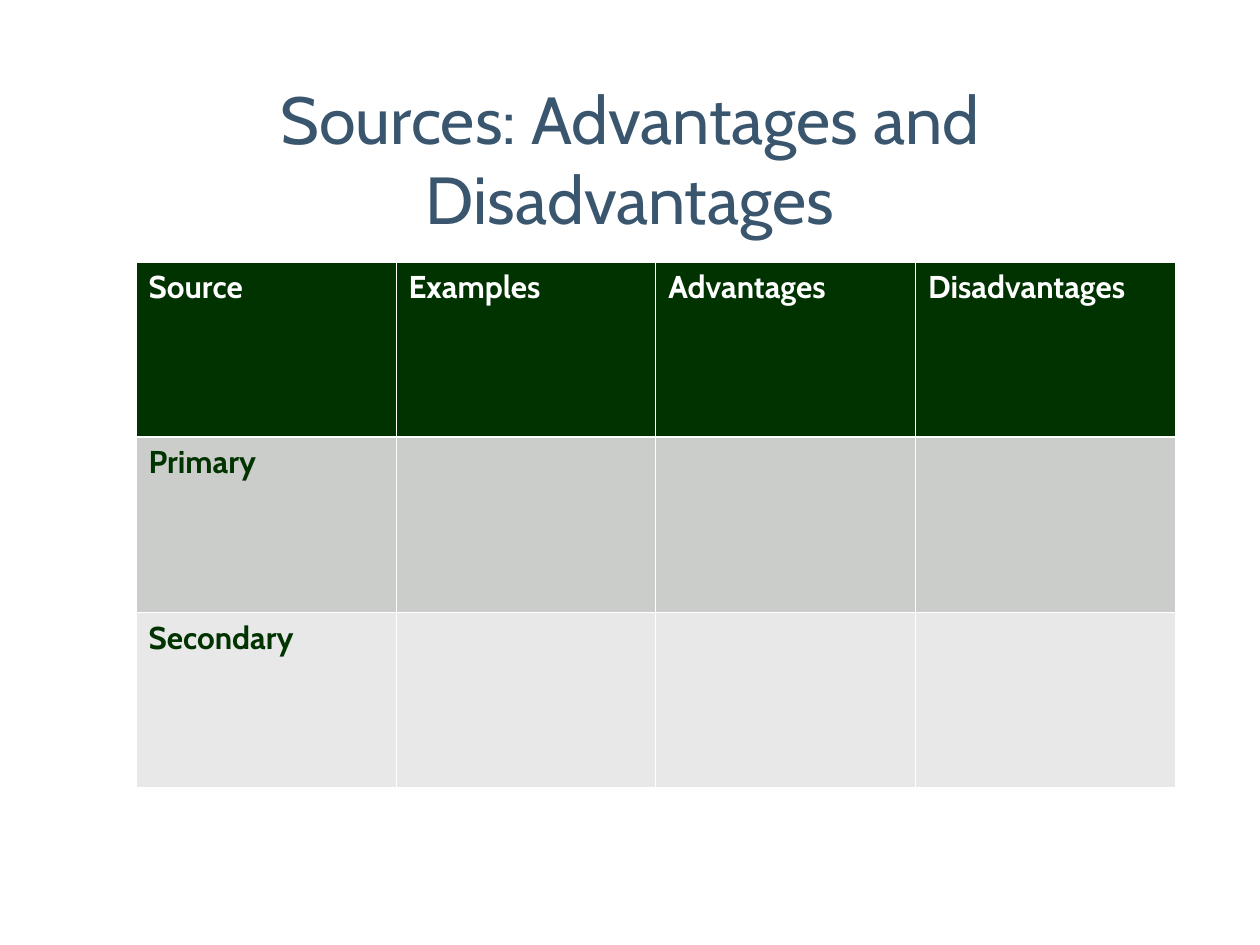
from lxml import etree
from pptx import Presentation
from pptx.dml.color import RGBColor
from pptx.enum.text import MSO_ANCHOR, PP_ALIGN
from pptx.oxml.ns import qn
from pptx.util import Inches, Pt

CENTER = PP_ALIGN.CENTER
MIDDLE = MSO_ANCHOR.MIDDLE

FONT = "Cabin"
WHITE = "FFFFFF"
GREEN = "003300"
SLATE = "3A566E"
ROW_FILLS = [GREEN, "CBCDCB", "E7E8E7"]
THIN, THICK = 0.45, 1.47

ROWS = [
    ["Source", "Examples", "Advantages", "Disadvantages"],
    ["Primary", "", "", ""],
    ["Secondary", "", "", ""],
]


def color(value):
    return RGBColor.from_string(value)


def style_font(paragraph, size, value, bold=False):
    font = paragraph.font
    font.name = FONT
    font.size = Pt(size)
    font.bold = bold
    font.color.rgb = color(value)


def add_border(cell, side, width):
    properties = cell._tc.get_or_add_tcPr()
    line = etree.SubElement(properties, qn(f"a:ln{side}"), w=str(Pt(width)))
    fill = etree.SubElement(line, qn("a:solidFill"))
    etree.SubElement(fill, qn("a:srgbClr"), val=WHITE)


def add_title(slide, left, top, width, height):
    title = slide.shapes.add_textbox(left, top, width, height)
    frame = title.text_frame
    frame.word_wrap = True
    frame.vertical_anchor = MIDDLE
    paragraph = frame.paragraphs[0]
    paragraph.text = "Sources: Advantages and Disadvantages"
    paragraph.alignment = CENTER
    style_font(paragraph, 38, SLATE)


def add_sources_table(slide, left, top, width, height):
    table = slide.shapes.add_table(
        len(ROWS), len(ROWS[0]), left, top, width, height
    ).table
    for row, labels in enumerate(ROWS):
        widths = {
            "L": THIN,
            "R": THIN,
            "T": THICK if row == 1 else THIN,
            "B": THICK if row == 0 else THIN,
        }
        for column, label in enumerate(labels):
            cell = table.cell(row, column)
            for side, line_width in widths.items():
                add_border(cell, side, line_width)
            cell.fill.solid()
            cell.fill.fore_color.rgb = color(ROW_FILLS[row])
            paragraph = cell.text_frame.paragraphs[0]
            paragraph.text = label
            style_font(paragraph, 18, WHITE if row == 0 else GREEN, bold=True)


def main():
    presentation = Presentation()
    presentation.slide_width = Inches(10)
    presentation.slide_height = Inches(7.5)
    slide = presentation.slides.add_slide(presentation.slide_layouts[6])
    add_title(slide, Inches(0.5), Inches(0.63), Inches(9), Inches(1.25))
    add_sources_table(slide, Inches(1.08), Inches(2.08), Inches(8.25), Inches(4.17))
    presentation.save("out.pptx")


if __name__ == "__main__":
    main()
